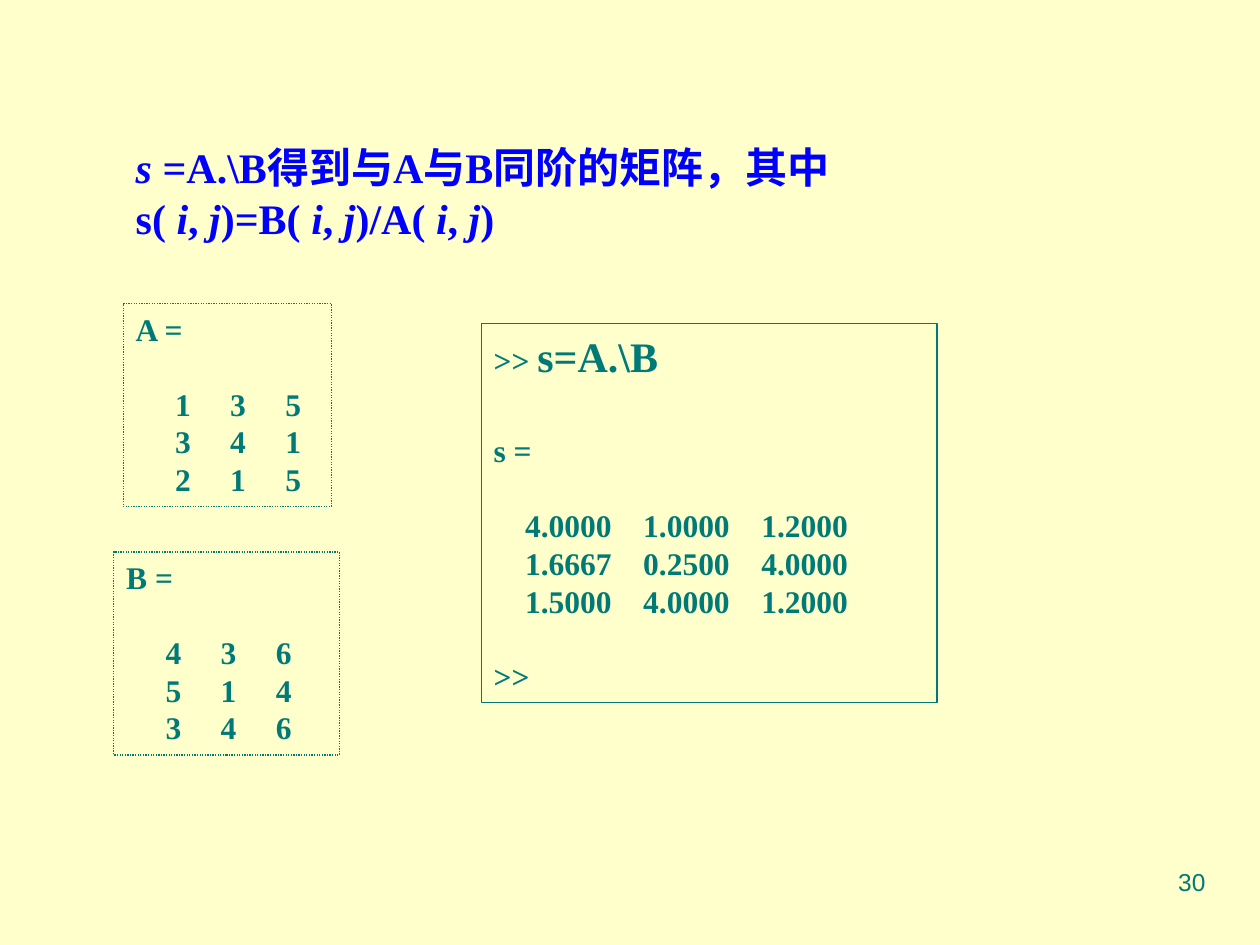
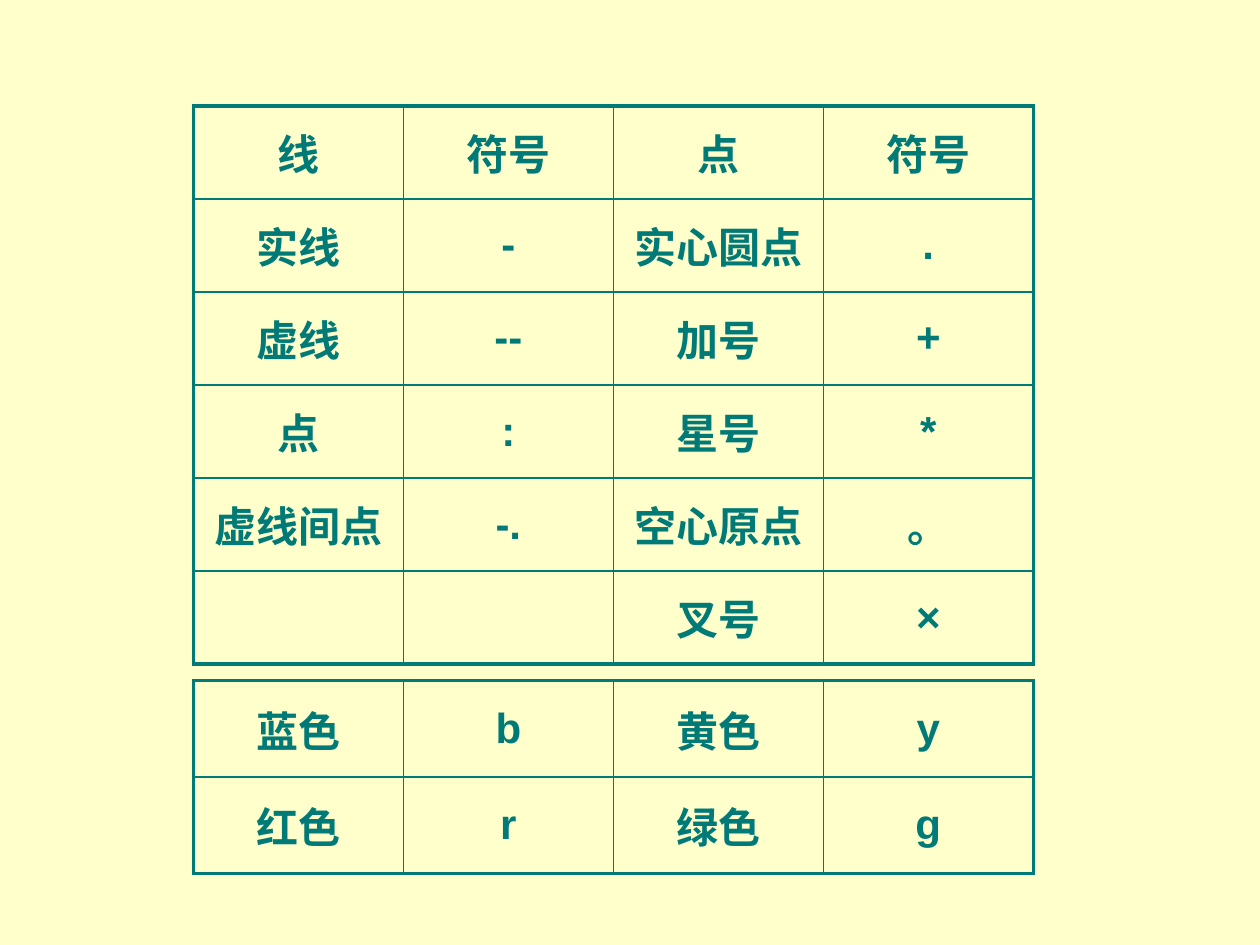
from lxml.etree import SubElement
from pptx import Presentation
from pptx.dml.color import RGBColor
from pptx.enum.dml import MSO_LINE
from pptx.enum.shapes import MSO_SHAPE as Shape
from pptx.enum.text import MSO_ANCHOR as Anchor, PP_ALIGN as Align
from pptx.oxml import parse_xml
from pptx.oxml.ns import nsdecls, qn
from pptx.util import Pt

TEAL, BLUE, CREAM = "007A77", "0000FF", "FFFFCC"
SERIF, SANS, CHINESE = "Times New Roman", "Arial", "Noto Sans CJK SC"
LINE_HEIGHT = {24: 29, 18: 21.5}


def color(hex_code):
    return RGBColor.from_string(hex_code)


def add_text(paragraph, text, size=18, fill=TEAL, face=SERIF, bold=True, italic=False):
    run = paragraph.add_run()
    run.text = text
    font = run.font
    font.size, font.name, font.bold, font.italic = Pt(size), face, bold, italic
    font.color.rgb = color(fill)
    SubElement(font._element, qn("a:ea")).set("typeface", CHINESE)


def next_paragraph(frame, size=18, before=0):
    """Give the empty first paragraph, or a new one, with a fixed line height."""
    paragraph = frame.paragraphs[0]
    if paragraph.runs:
        paragraph = frame.add_paragraph()
    paragraph.alignment = Align.LEFT
    paragraph.line_spacing = Pt(LINE_HEIGHT[size])
    paragraph.space_before = Pt(before)
    return paragraph


def add_text_box(slide, box):
    frame = slide.shapes.add_textbox(*map(Pt, box)).text_frame
    frame.word_wrap = True
    return frame


def add_frame(slide, box, dash=None):
    shape = slide.shapes.add_shape(Shape.RECTANGLE, *map(Pt, box))
    shape.shadow.inherit = False
    shape.fill.background()
    shape.line.color.rgb = color(TEAL)
    shape.line.width = Pt(0.75)
    if dash:
        shape.line.dash_style = dash
    frame = shape.text_frame
    frame.word_wrap = True
    frame.vertical_anchor = Anchor.TOP
    return frame


def add_matrix(frame, rows, first_stop, step):
    """Write the rows on tab stops, one line's height below the text above."""
    for index, row in enumerate(rows):
        paragraph = next_paragraph(frame, before=0 if index else LINE_HEIGHT[18])
        stops = SubElement(paragraph._p.get_or_add_pPr(), qn("a:tabLst"))
        for column in range(len(row)):
            stop = SubElement(stops, qn("a:tab"))
            stop.set("pos", str(Pt(first_stop + column * step)))
            stop.set("algn", "l")
        add_text(paragraph, "".join(f"\t{value}" for value in row))


def add_headline(slide, box, lines):
    """Write the lines; every second part between bars is italic."""
    frame = add_text_box(slide, box)
    for line in lines:
        paragraph = next_paragraph(frame, 24)
        for index, part in enumerate(line.split("|")):
            if part:
                add_text(paragraph, part, size=24, fill=BLUE, italic=index % 2 == 1)


def add_input_matrix(slide, box, name, rows):
    frame = add_frame(slide, box, MSO_LINE.ROUND_DOT)
    add_text(next_paragraph(frame), f"{name} =")
    add_matrix(frame, rows, first_stop=22.5, step=31.5)


def add_console(slide, box, command, name, rows):
    frame = add_frame(slide, box)
    prompt = next_paragraph(frame, 24)
    add_text(prompt, ">> ")
    add_text(prompt, command, size=24)
    add_text(next_paragraph(frame, before=LINE_HEIGHT[24]), f"{name} =")
    add_matrix(frame, rows, first_stop=18, step=67.5)
    add_text(next_paragraph(frame, before=LINE_HEIGHT[18]), ">>")


def add_page_number(slide, box, number):
    paragraph = add_text_box(slide, box).paragraphs[0]
    paragraph.alignment = Align.RIGHT
    add_text(paragraph, number, size=14, face=SANS, bold=False)


def set_borders(cell, outer_sides):
    properties = cell._tc.get_or_add_tcPr()
    for index, side in enumerate("LRTB"):
        width = Pt(2.25 if side in outer_sides else 1)
        properties.insert(index, parse_xml(
            f'<a:ln{side} {nsdecls("a")} w="{width}"><a:solidFill>'
            f'<a:srgbClr val="{TEAL}"/></a:solidFill></a:ln{side}>'))


def add_symbol_table(slide, box, rows):
    last_row, last_column = len(rows) - 1, len(rows[0]) - 1
    table = slide.shapes.add_table(len(rows), len(rows[0]), *map(Pt, box)).table
    table.first_row = table.horz_banding = False
    for r, row in enumerate(rows):
        for c, text in enumerate(row):
            cell = table.cell(r, c)
            cell.fill.background()
            cell.vertical_anchor = Anchor.MIDDLE
            edges = {"L": c == 0, "R": c == last_column, "T": r == 0, "B": r == last_row}
            set_borders(cell, [side for side, outer in edges.items() if outer])
            if text:
                paragraph = cell.text_frame.paragraphs[0]
                paragraph.alignment = Align.CENTER
                paragraph.space_before = Pt(4.8)
                add_text(paragraph, text, size=24, face=SANS)


def new_slide(presentation):
    slide = presentation.slides.add_slide(presentation.slide_layouts[6])
    slide.background.fill.solid()
    slide.background.fill.fore_color.rgb = color(CREAM)
    return slide


def build_division_slide(presentation):
    slide = new_slide(presentation)
    add_page_number(slide, (516, 492, 180, 37.5), "30")
    add_headline(slide, (70.5, 77, 431.5, 65.5), [
        "|s |=A.\\B得到与A与B同阶的矩阵，其中",
        "s( |i|, |j|)=B( |i|, |j|)/A( |i|, |j|)"])
    add_input_matrix(slide, (70.5, 173.5, 119, 116), "A", ["135", "341", "215"])
    add_input_matrix(slide, (65, 315.5, 129, 116), "B", ["436", "514", "346"])
    add_console(slide, (275, 185, 260.5, 216.5), "s=A.\\B", "s", [
        ("4.0000", "1.0000", "1.2000"),
        ("1.6667", "0.2500", "4.0000"),
        ("1.5000", "4.0000", "1.2000")])


def build_symbols_slide(presentation):
    slide = new_slide(presentation)
    # Line styles and point markers
    add_symbol_table(slide, (110.5, 60.5, 480, 319), [
        ("线", "符号", "点", "符号"),
        ("实线", "-", "实心圆点", "."),
        ("虚线", "--", "加号", "+"),
        ("点", ":", "星号", "*"),
        ("虚线间点", "-.", "空心原点", "。"),
        ("", "", "叉号", "×")])
    # Colours
    add_symbol_table(slide, (110.5, 389, 480, 110), [
        ("蓝色", "b", "黄色", "y"),
        ("红色", "r", "绿色", "g")])


def main():
    presentation = Presentation()
    presentation.slide_width, presentation.slide_height = Pt(720), Pt(540)
    build_division_slide(presentation)
    build_symbols_slide(presentation)
    presentation.save("out.pptx")


if __name__ == "__main__":
    main()
